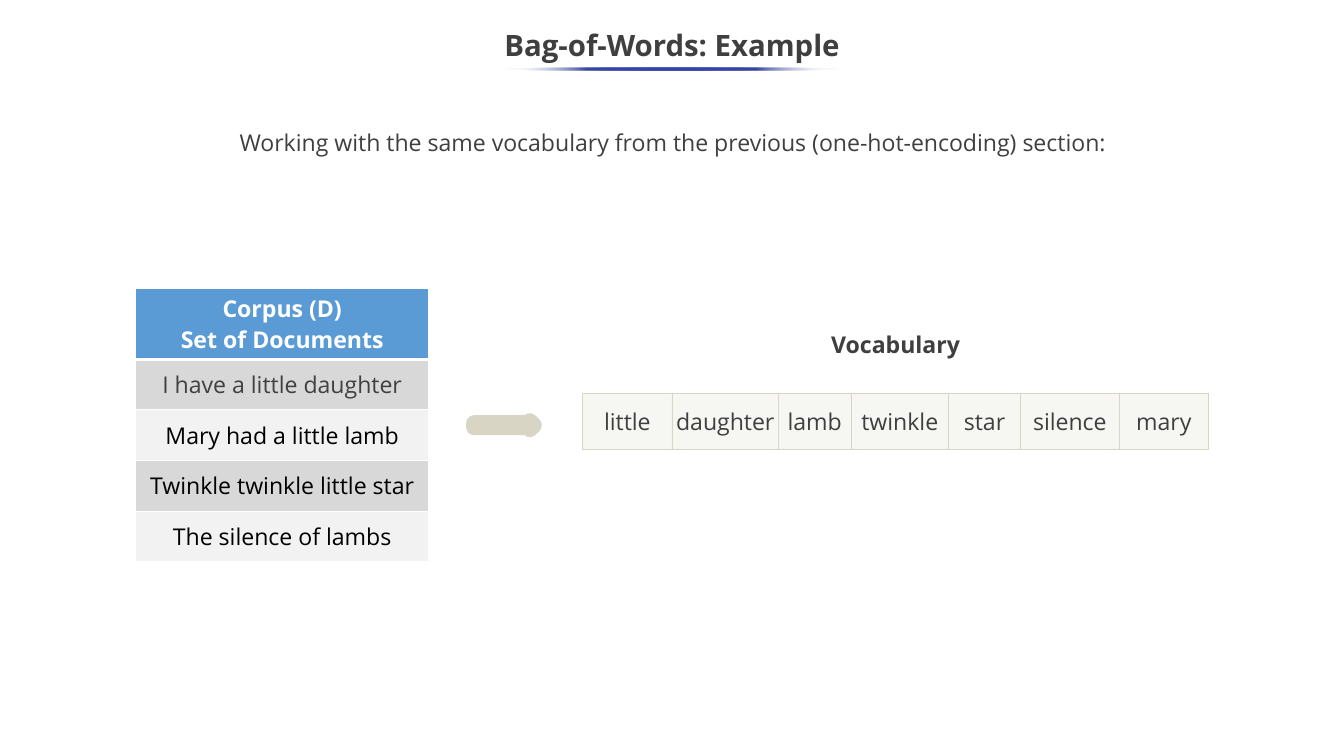
from lxml import etree
from pptx import Presentation
from pptx import util as u
from pptx.dml.color import RGBColor
from pptx.enum import shapes, text
from pptx.oxml import parse_xml
from pptx.oxml.ns import nsdecls, qn

FONT = "Open Sans"
DARK, SAND, WHITE, INDIGO = "3F3F3F", "D8D5C4", "FFFFFF", "3645A9"
CORPUS = [
    ("I have a little daughter", "404040"),
    ("Mary had a little lamb", "000000"),
    ("Twinkle twinkle little star", "000000"),
    ("The silence of lambs", "000000"),
]
VOCABULARY = {"little": 85, "daughter": 101.5, "lamb": 69, "twinkle": 93,
              "star": 68.5, "silence": 94, "mary": 85}


def colour(value):
    return RGBColor.from_string(value)


def points(*values):
    return [u.Pt(value) for value in values]


def write(frame, lines, size=22, tint=DARK, bold=False, spacing=None):
    """Fill a text frame with centred paragraphs."""
    for number, line in enumerate(lines):
        para = frame.add_paragraph() if number else frame.paragraphs[0]
        para.alignment = text.PP_ALIGN.CENTER
        if spacing:
            para.line_spacing = spacing
        span = para.add_run()
        span.text = line
        for name, value in dict(name=FONT, size=u.Pt(size), bold=bold).items():
            setattr(span.font, name, value)
        span.font.color.rgb = colour(tint)


def add_text(page, place, line, inset=3.6, anchor=text.MSO_ANCHOR.MIDDLE, **look):
    box = page.shapes.add_textbox(*points(*place))
    layout = dict(word_wrap=True, vertical_anchor=anchor,
                  margin_top=u.Pt(inset), margin_bottom=u.Pt(inset))
    for name, value in layout.items():
        setattr(box.text_frame, name, value)
    write(box.text_frame, [line], **look)


def add_plain_shape(page, kind, place):
    """Add a preset shape with no shadow, fill or line."""
    shape = page.shapes.add_shape(kind, *points(*place))
    shape.shadow.inherit = False
    shape.fill.background()
    shape.line.fill.background()
    return shape


def add_grid(page, place, widths, heights):
    """Add an unstyled table and return it."""
    table = page.shapes.add_table(len(heights), len(widths), *points(*place)).table
    table.horz_banding = False
    for column, width in zip(table.columns, widths):
        column.width = u.Pt(width)
    for row, height in zip(table.rows, heights):
        row.height = u.Pt(height)
    return table


def style_cell(cell, fill, edge, alpha=None, **edge_widths):
    """Paint a cell and draw its four borders, 1 pt unless told otherwise."""
    cell.vertical_anchor = text.MSO_ANCHOR.MIDDLE
    cell.fill.solid()
    cell.fill.fore_color.rgb = colour(fill)
    props = cell._tc.get_or_add_tcPr()
    if alpha:
        tint = props.find(".//" + qn("a:srgbClr"))
        etree.SubElement(tint, qn("a:alpha")).set("val", str(alpha * 1000))
    for position, side in enumerate("LRTB"):
        width = u.Pt(edge_widths.get(side, 1))
        props.insert(position, parse_xml(
            f'<a:ln{side} {nsdecls("a")} w="{width}"><a:solidFill>'
            f'<a:srgbClr val="{edge}"/></a:solidFill></a:ln{side}>'))


def add_corpus(page):
    table = add_grid(page, (129, 275, 279.5, 260), [279.5],
                     [67.2] + [48.2] * len(CORPUS))
    header = table.cell(0, 0)
    write(header.text_frame, ["Corpus (D)", "Set of Documents"], tint=WHITE, bold=True)
    style_cell(header, "5B9BD5", WHITE, B=3)
    for row, (sentence, tint) in enumerate(CORPUS, 1):
        cell = table.cell(row, 0)
        write(cell.text_frame, [sentence], tint=tint)
        style_cell(cell, "D8D8D8" if row % 2 else "F2F2F2", WHITE,
                   T=3 if row == 1 else 1)


def add_vocabulary(page):
    label = add_plain_shape(page, shapes.MSO_SHAPE.ROUNDED_RECTANGLE,
                            (745, 295, 216, 65))
    label.text_frame.vertical_anchor = text.MSO_ANCHOR.MIDDLE
    write(label.text_frame, ["Vocabulary"], bold=True)

    table = add_grid(page, (555, 374.5, 596, 54), list(VOCABULARY.values()), [54])
    for cell, word in zip(table.rows[0].cells, VOCABULARY):
        for side in ("left", "right", "top", "bottom"):
            setattr(cell, f"margin_{side}", u.Pt(0.7))
        write(cell.text_frame, [word])
        style_cell(cell, SAND, SAND, alpha=21)


def add_arrow(page):
    arrow = add_plain_shape(page, shapes.MSO_SHAPE.RIGHT_ARROW, (451.5, 401, 57, 8))
    for fill in (arrow.fill, arrow.line.fill):
        fill.solid()
        fill.fore_color.rgb = colour(SAND)
    arrow.line.width = u.Pt(15)


def add_underline(page):
    """Add a thin ellipse that fades out at both ends."""
    rule = add_plain_shape(page, shapes.MSO_SHAPE.OVAL, (480, 64.3, 320, 3))
    stops = "".join(
        f'<a:gs pos="{place * 1000}"><a:srgbClr val="{tint}">'
        f'<a:alpha val="{alpha * 1000}"/></a:srgbClr></a:gs>'
        for place, tint, alpha in [(0, WHITE, 0), (25, INDIGO, 100), (50, INDIGO, 100),
                                   (75, INDIGO, 100), (100, WHITE, 0)])
    props = rule._element.spPr
    props.replace(props.find(qn("a:noFill")), parse_xml(
        f'<a:gradFill {nsdecls("a")}><a:gsLst>{stops}</a:gsLst>'
        '<a:lin ang="10800000" scaled="0"/></a:gradFill>'))


def main():
    deck = Presentation()
    deck.slide_width, deck.slide_height = points(1280, 720)
    page = deck.slides.add_slide(deck.slide_layouts[6])

    # Title and introduction
    add_text(page, (0, 18, 1280, 54), "Bag-of-Words: Example",
             size=28, bold=True, spacing=0.9)
    add_text(page, (101.5, 119, 1078.5, 71),
             "Working with the same vocabulary from the previous "
             "(one-hot-encoding) section:",
             inset=0, anchor=text.MSO_ANCHOR.TOP, spacing=1.14)

    # Documents lead to their vocabulary
    add_corpus(page)
    add_arrow(page)
    add_vocabulary(page)

    # Rule under the title
    add_underline(page)
    deck.save("out.pptx")


if __name__ == "__main__":
    main()
